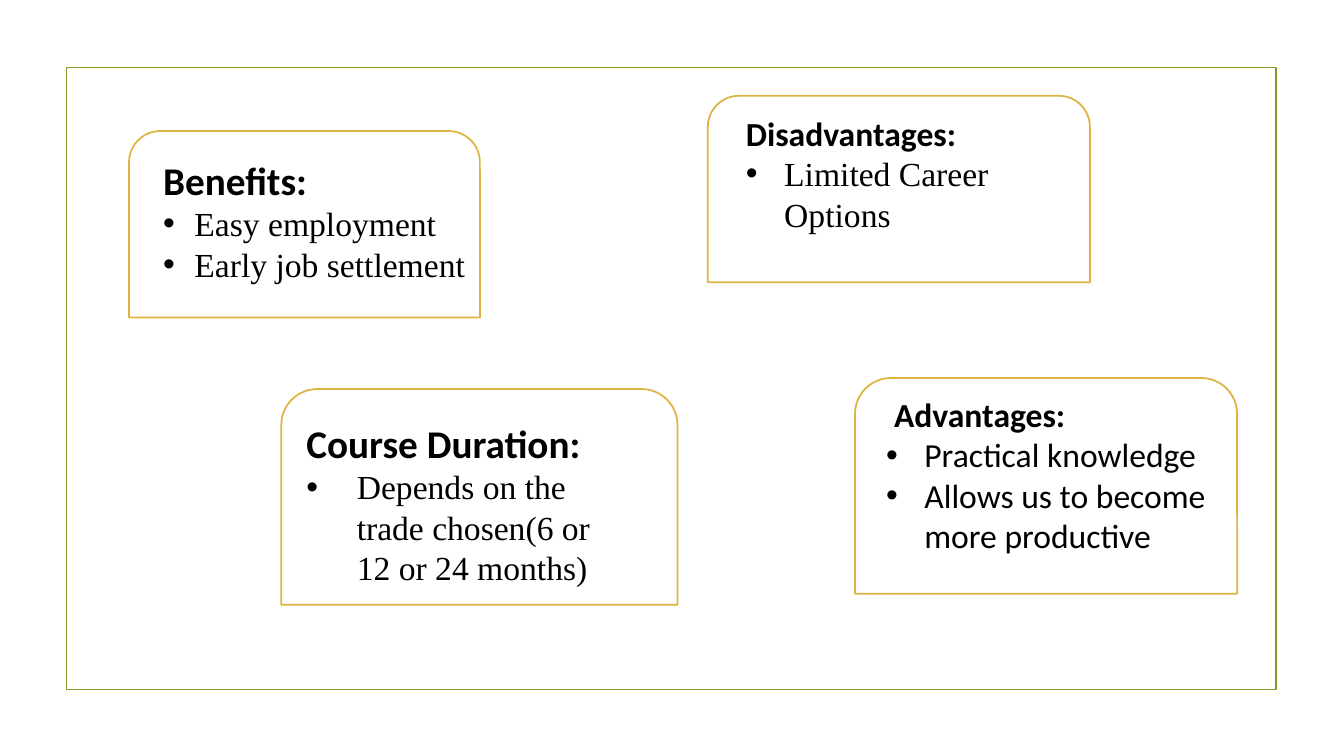
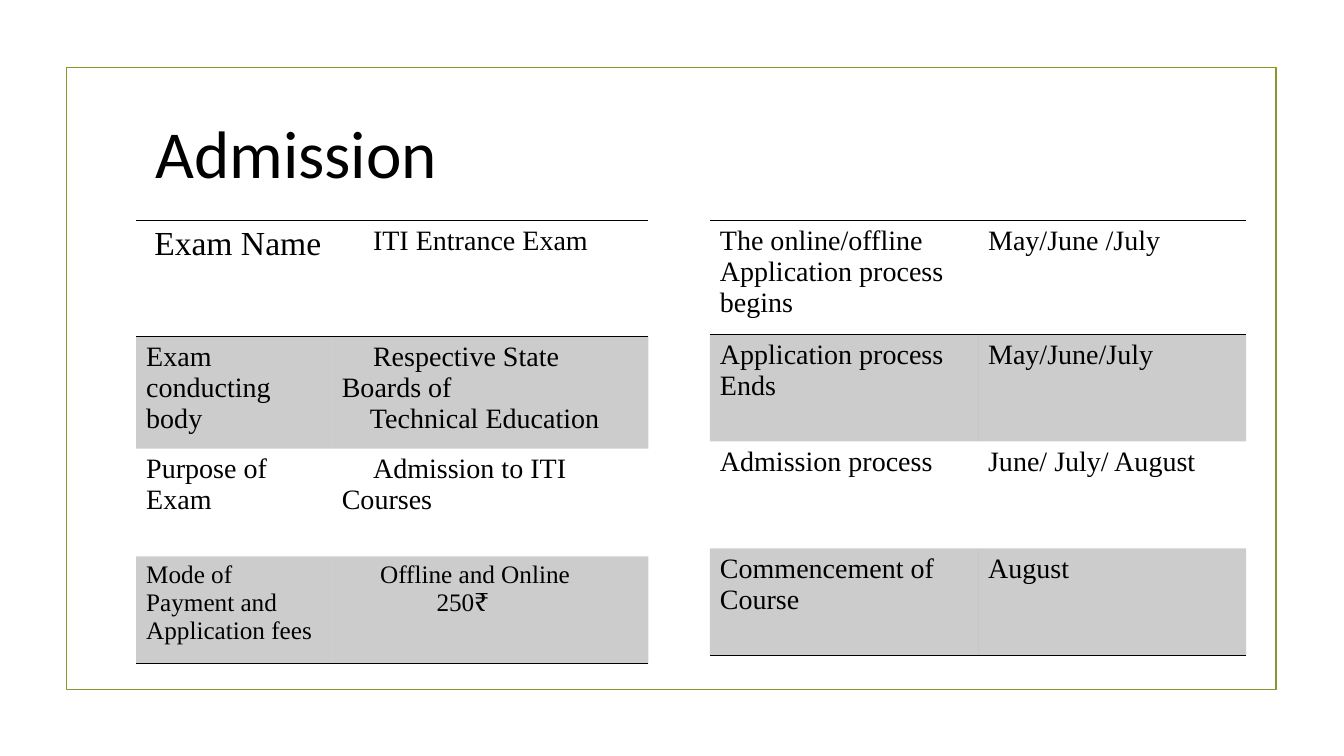
import pptx
import pptx.dml.color
import pptx.enum.shapes
import pptx.enum.text
import pptx.oxml
import pptx.oxml.ns
import pptx.util
from lxml import etree

Inches = pptx.util.Inches
Pt = pptx.util.Pt
RGBColor = pptx.dml.color.RGBColor
Shape = pptx.enum.shapes.MSO_SHAPE
qn = pptx.oxml.ns.qn

BLACK = RGBColor(0x00, 0x00, 0x00)
WHITE = RGBColor(0xFF, 0xFF, 0xFF)
GREEN = RGBColor(0x83, 0x99, 0x2A)
GOLD = RGBColor(0xDE, 0xB3, 0x40)
SANS = "Calibri"
SERIF = "Times New Roman"
NO_GRID_STYLE = "{2D5ABB26-0587-4C30-8999-92F81FD0307C}"


def write(paragraph, text, font, size, bold=False, margin=0, indent=0, bullet=False):
    """Fill a paragraph; margin and indent are in inches."""
    paragraph.text = text
    paragraph.alignment = pptx.enum.text.PP_ALIGN.LEFT
    properties = paragraph._p.get_or_add_pPr()
    properties.set("marL", str(Inches(margin)))
    properties.set("indent", str(Inches(indent)))
    if bullet:
        etree.SubElement(properties, qn("a:buFont")).set("typeface", "Arial")
        etree.SubElement(properties, qn("a:buChar")).set("char", "•")
    paragraph.font.name = font
    paragraph.font.size = Pt(size)
    paragraph.font.bold = bold
    paragraph.font.color.rgb = BLACK


def add_outline(slide, preset, box, color):
    shape = slide.shapes.add_shape(preset, *map(Inches, box))
    shape.shadow.inherit = False
    shape.line.color.rgb = color
    shape.line.width = Pt(1.25)
    return shape


presentation = pptx.Presentation()
presentation.slide_width = Inches(13.33)
presentation.slide_height = Inches(7.5)

# Slide 1: four cards
slide = presentation.slides.add_slide(presentation.slide_layouts[6])

# Green frame, moved to the master so that every slide shows it
frame = add_outline(slide, Shape.RECTANGLE, (0.66, 0.67, 12, 6.17), GREEN)
frame.fill.background()
frame.element.nvSpPr.cNvPr.set("id", "20")
presentation.slide_master.shapes.element.append(frame.element)

# card box, text box, heading, heading size, heading indent, item font, item indent, items
cards = [
    ((1.28, 1.3, 3.48, 1.85), (1.52, 1.5, 3.38, 1.99), "Benefits:", 28, 0,
     SERIF, 0.31, ["Easy employment", "Early job settlement"]),
    ((7.02, 0.95, 3.79, 1.85), (7.3, 1.07, 3.57, 1.72), "Disadvantages:", 24, 0,
     SERIF, 0.38, ["Limited Career Options"]),
    ((2.79, 3.86, 3.93, 2.14), (2.94, 4.11, 3.21, 2.09), "Course Duration:", 28, 0,
     SERIF, 0.5, ["Depends on the trade chosen(6 or 12 or 24 months)"]),
    ((8.48, 3.75, 3.79, 2.14), (8.69, 3.86, 3.57, 2.42), "Advantages:", 24, 0.08,
     SANS, 0.38, ["Practical knowledge", "Allows us to become more productive"]),
]
for card_box, text_box, heading, size, heading_indent, font, hanging, items in cards:
    card = add_outline(slide, Shape.ROUND_2_SAME_RECTANGLE, card_box, GOLD)
    card.fill.solid()
    card.fill.fore_color.rgb = WHITE
    frame_text = slide.shapes.add_textbox(*map(Inches, text_box)).text_frame
    frame_text.word_wrap = True
    write(frame_text.paragraphs[0], heading, SANS, size, bold=True, indent=heading_indent)
    for item in items:
        write(frame_text.add_paragraph(), item, font, 24,
              margin=hanging, indent=-hanging, bullet=True)

# Slide 2: title and two tables
slide = presentation.slides.add_slide(presentation.slide_layouts[5])
title = slide.shapes.title
title.left, title.top, title.width, title.height = map(Inches, (1.44, 1.05, 5.6, 0.91))
title.text_frame.vertical_anchor = pptx.enum.text.MSO_ANCHOR.TOP
write(title.text_frame.paragraphs[0], "Admission", SANS, 48)

# Each cell: text size, then paragraphs as (first-line indent, text)
exam_rows = [
    [(24, [(0.08, "Exam Name")]), (20, [(0.31, "ITI Entrance Exam")])],
    [(20, [(0, "Exam conducting body")]),
     (20, [(0.31, "Respective State Boards of"), (0.28, "Technical Education")])],
    [(20, [(0, "Purpose of Exam")]), (20, [(0.31, "Admission to ITI Courses")])],
    [(18, [(0, "Mode of Payment and Application fees")]),
     (18, [(0.38, "Offline and Online"), (0.94, "250₹")])],
]
date_rows = [
    [(20, [(0, "The online/offline"), (0, "Application process begins")]),
     (20, [(0, "May/June /July")])],
    [(20, [(0, "Application process Ends")]), (20, [(0, "May/June/July")])],
    [(20, [(0, "Admission process")]), (20, [(0, "June/ July/ August")])],
    [(20, [(0, "Commencement of Course")]), (20, [(0, "August")])],
]
tables = [
    (1.35, [1.94, 3.14], [1.15, 1.11, 1.07, 1.06], exam_rows),
    (7.04, [2.66, 2.66], [1.13, 1.06, 1.06, 1.06], date_rows),
]
for left, widths, heights, rows in tables:
    graphic_frame = slide.shapes.add_table(
        len(rows), len(widths), Inches(left), Inches(2.19),
        Inches(sum(widths)), Inches(sum(heights)))
    graphic_frame.element.xpath(".//a:tableStyleId")[0].text = NO_GRID_STYLE
    table = graphic_frame.table
    for column, width in zip(table.columns, widths):
        column.width = Inches(width)
    for row_index, (height, row) in enumerate(zip(heights, rows)):
        table.rows[row_index].height = Inches(height)
        # Rules above and below the first row and below the last
        edges = {0: ["a:lnT", "a:lnB"], len(rows) - 1: ["a:lnB"]}.get(row_index, [])
        for column_index, (size, paragraphs) in enumerate(row):
            cell = table.cell(row_index, column_index)
            for number, (indent, text) in enumerate(paragraphs):
                paragraph = (cell.text_frame.add_paragraph() if number
                             else cell.text_frame.paragraphs[0])
                write(paragraph, text, SERIF, size, indent=indent)

            # Every second row is shaded with 20 % black
            properties = cell._tc.get_or_add_tcPr()
            if row_index % 2:
                cell.fill.solid()
                cell.fill.fore_color.rgb = BLACK
                color = properties.find(".//" + qn("a:srgbClr"))
                etree.SubElement(color, qn("a:alpha")).set("val", "20000")
            else:
                cell.fill.background()
            for position, edge in enumerate(edges):
                line = etree.Element(qn(edge), w=str(Pt(1)))
                fill = etree.SubElement(line, qn("a:solidFill"))
                etree.SubElement(fill, qn("a:srgbClr")).set("val", str(BLACK))
                properties.insert(position, line)

presentation.save("out.pptx")
